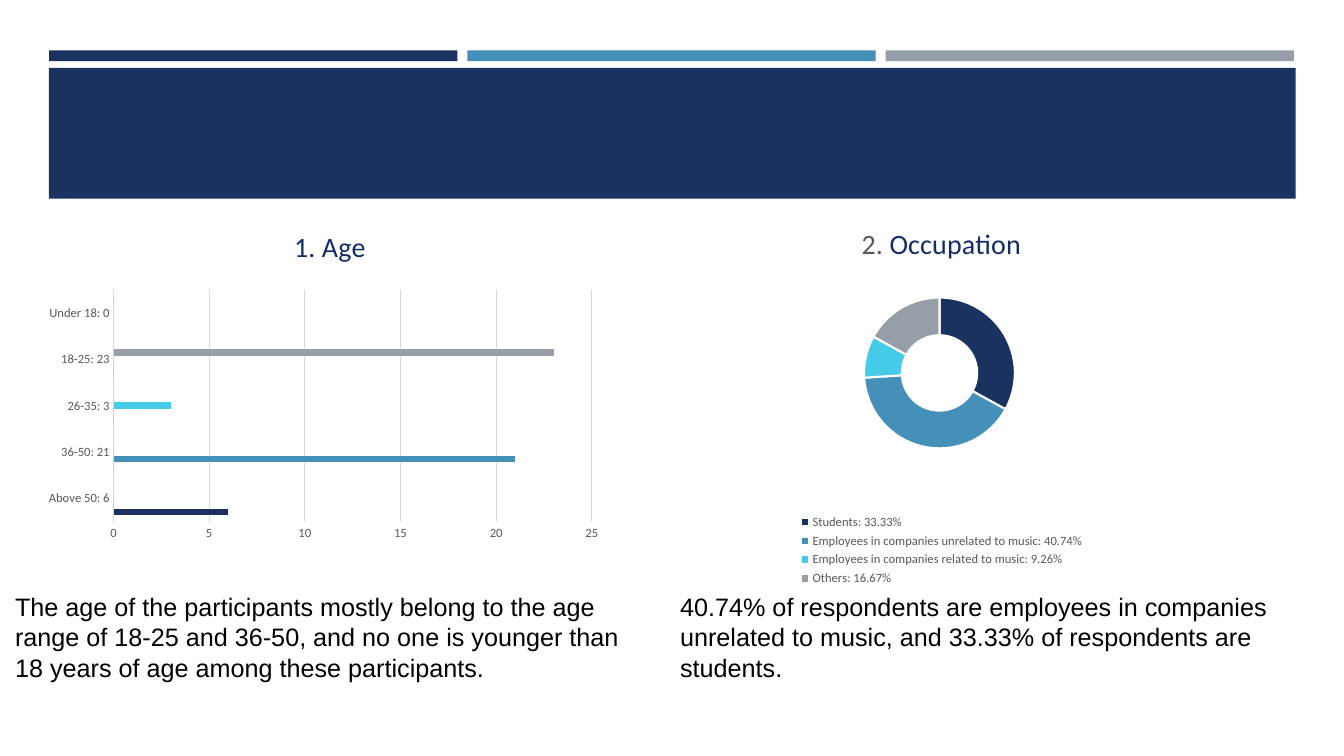
from dataclasses import dataclass

from lxml import etree
from pptx import Presentation
from pptx.chart.data import CategoryChartData
from pptx.dml.color import RGBColor
from pptx.enum.chart import XL_CHART_TYPE, XL_LEGEND_POSITION, XL_TICK_MARK
from pptx.enum.shapes import MSO_SHAPE
from pptx.enum.text import MSO_AUTO_SIZE
from pptx.oxml.ns import qn
from pptx.util import Cm, Pt

RECT = MSO_SHAPE.RECTANGLE
BAR = XL_CHART_TYPE.BAR_CLUSTERED
RING = XL_CHART_TYPE.DOUGHNUT
BOTTOM = XL_LEGEND_POSITION.BOTTOM
NO_TICK = XL_TICK_MARK.NONE
GROW = MSO_AUTO_SIZE.SHAPE_TO_FIT_TEXT


@dataclass(frozen=True)
class Theme:
    navy: str = "1A3260"
    blue: str = "4590B8"
    cyan: str = "45CBE8"
    gray: str = "969FA7"
    green: str = "A2C777"
    head: str = "122D68"
    label: str = "595959"
    grid: str = "D9D9D9"
    black: str = "000000"
    white: str = "FFFFFF"
    chart_font: str = "Calibri"
    body_font: str = "Arial"
    head_size: int = 20
    body_size: int = 18
    base_size: int = 10
    label_size: int = 9


THEME = Theme()

AGES = ["Above 50: 6", "36-50: 21", "26-35: 3", "18-25: 23", "Under 18: 0"]
AGE_ROWS = [
    (6, 0, 0, 0, None),
    (0, 21, 0, 0, None),
    (0, 0, 3, 0, None),
    (None, None, None, 23, None),
    (None, None, None, None, 0),
]
JOBS = [
    "Students: 33.33%",
    "Employees in companies unrelated to music: 40.74%",
    "Employees in companies related to music: 9.26%",
    "Others: 16.67%",
]
JOB_ROWS = [(33, 41, 9, 17)]
AGE_NOTE = (
    "The age of the participants mostly belong to the age range of 18-25 and "
    "36-50, and no one is younger than 18 years of age among these participants."
)
JOB_NOTE = (
    "40.74% of respondents are employees in companies unrelated to music, "
    "and 33.33% of respondents are students."
)


def rgb(color):
    return RGBColor.from_string(color)


def paint(fill, color):
    fill.solid()
    fill.fore_color.rgb = rgb(color)


def style(font, name, size, color):
    font.name = name
    font.size = Pt(size)
    font.bold = False
    font.color.rgb = rgb(color)


def rule(line, color):
    line.color.rgb = rgb(color)
    line.width = Pt(0.75)


def add_block(slide, box, color):
    block = slide.shapes.add_shape(RECT, *map(Cm, box))
    block.shadow.inherit = False
    paint(block.fill, color)
    block.line.fill.background()


def add_note(slide, box, text):
    frame = slide.shapes.add_textbox(*map(Cm, box)).text_frame
    frame.word_wrap = True
    frame.auto_size = GROW
    para = frame.paragraphs[0]
    para.text = text
    style(para.font, THEME.body_font, THEME.body_size, THEME.black)


def set_plot(chart, box):
    area = chart.element.find(".//" + qn("c:plotArea"))
    for old in area.findall(qn("c:layout")):
        area.remove(old)
    layout = etree.Element(qn("c:layout"))
    manual = etree.SubElement(layout, qn("c:manualLayout"))
    parts = [("layoutTarget", "inner"), ("xMode", "edge"), ("yMode", "edge")]
    for key, value in parts + list(zip("xywh", box)):
        etree.SubElement(manual, qn("c:" + key)).set("val", str(value))
    area.insert(0, layout)


def set_title(chart, runs):
    chart.has_title = True
    para = chart.chart_title.text_frame.paragraphs[0]
    for text, color in runs:
        run = para.add_run()
        run.text = text
        style(run.font, THEME.chart_font, THEME.head_size, color)


def add_graph(slide, kind, box, cats, rows, title, plot):
    data = CategoryChartData()
    data.categories = cats
    for num, row in enumerate(rows, 1):
        data.add_series(f"Series {num}", row)
    chart = slide.shapes.add_chart(kind, *map(Cm, box), data).chart
    style(chart.font, THEME.chart_font, THEME.base_size, THEME.black)
    set_title(chart, title)
    set_plot(chart, plot)
    return chart


def style_axis(axis):
    axis.major_tick_mark = NO_TICK
    axis.minor_tick_mark = NO_TICK
    style(axis.tick_labels.font, THEME.chart_font, THEME.label_size, THEME.label)


def add_ages(slide):
    chart = add_graph(slide, BAR, (1.14, 5.28, 14.35, 8.46), AGES, AGE_ROWS,
                      [("1. Age", THEME.head)], (0.12, 0.24, 0.84, 0.69))
    chart.has_legend = False
    bars = chart.plots[0]
    bars.gap_width = 182
    bars.vary_by_categories = False
    colors = (THEME.navy, THEME.blue, THEME.cyan, THEME.gray, THEME.green)
    for series, color in zip(bars.series, colors):
        paint(series.format.fill, color)
    cat, val = chart.category_axis, chart.value_axis
    for axis in (cat, val):
        style_axis(axis)
    rule(cat.format.line, THEME.grid)
    val.format.line.fill.background()
    val.has_major_gridlines = True
    rule(val.major_gridlines.format.line, THEME.grid)
    val.minimum_scale, val.maximum_scale, val.major_unit = 0, 25, 5


def add_jobs(slide):
    chart = add_graph(slide, RING, (18.85, 5.28, 9.75, 9.58), JOBS, JOB_ROWS,
                      [("2. ", THEME.label), ("Occupation", THEME.head)],
                      (0.3, 0.19, 0.39, 0.48))
    ring = chart.plots[0]
    ring.vary_by_categories = True
    colors = (THEME.navy, THEME.blue, THEME.cyan, THEME.gray)
    for num, color in enumerate(colors):
        look = ring.series[0].points[num].format
        paint(look.fill, color)
        look.line.color.rgb = rgb(THEME.white)
        look.line.width = Pt(1.5)
    chart.has_legend = True
    legend = chart.legend
    legend.position = BOTTOM
    legend.include_in_layout = False
    style(legend.font, THEME.chart_font, THEME.label_size, THEME.label)


def main():
    deck = Presentation()
    deck.slide_width, deck.slide_height = Cm(33.87), Cm(19.05)
    slide = deck.slides.add_slide(deck.slide_layouts[6])
    for num, color in enumerate((THEME.navy, THEME.blue, THEME.gray)):
        add_block(slide, (1.24 + num * 10.54, 1.27, 10.29, 0.27), color)
    add_block(slide, (1.23, 1.71, 31.42, 3.3), THEME.navy)
    add_ages(slide)
    add_jobs(slide)
    add_note(slide, (0.13, 14.78, 16.36, 2.57), AGE_NOTE)
    add_note(slide, (16.89, 14.78, 16.94, 2.57), JOB_NOTE)
    deck.save("out.pptx")


if __name__ == "__main__":
    main()
